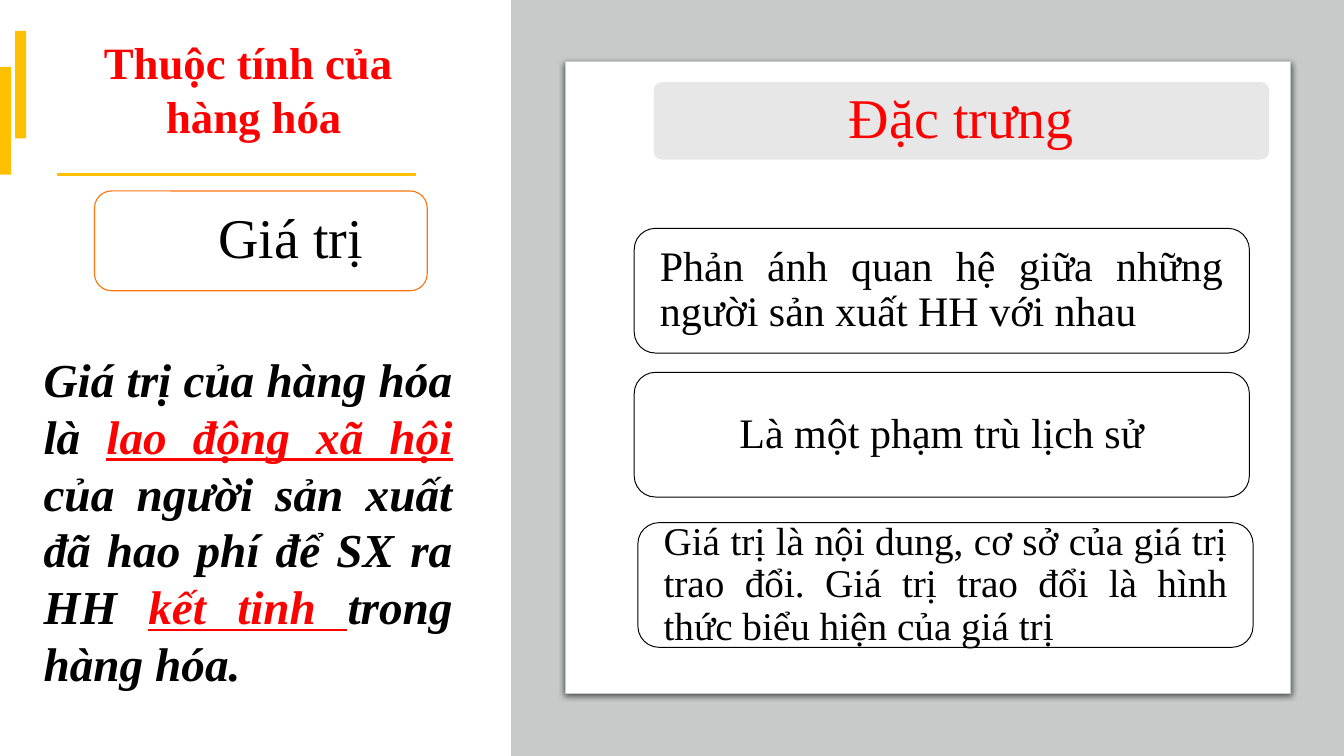
"""Build a slide on the value attribute of goods and its characteristics."""
import pptx
import pptx.dml.color
import pptx.enum.shapes
import pptx.enum.text
import pptx.oxml
import pptx.oxml.ns
import pptx.util

ALIGN = pptx.enum.text.PP_ALIGN
ANCHOR = pptx.enum.text.MSO_ANCHOR
SHAPE = pptx.enum.shapes.MSO_SHAPE
RED, GOLD, GRAY, BLACK, WHITE = "FF0000", "FFC000", "C8CACA", "000000", "FFFFFF"


def color(value):
    return pptx.dml.color.RGBColor.from_string(value)


def points(*values):
    return [pptx.util.Pt(value) for value in values]


def write(paragraph, text, size=32, ink=BLACK, bold=False, italic=False, underline=False):
    run = paragraph.add_run()
    run.text = text
    font = run.font
    font.name = "Times New Roman"
    font.size = pptx.util.Pt(size)
    font.color.rgb = color(ink)
    font.bold, font.italic, font.underline = bold, italic, underline


class SlideBuilder:
    def __init__(self, presentation):
        self.slide = presentation.slides.add_slide(presentation.slide_layouts[1])

    def block(self, box, fill, kind=SHAPE.RECTANGLE, line=None, width=0.75, corner=0):
        shape = self.slide.shapes.add_shape(kind, *points(*box))
        shape.shadow.inherit = False
        shape.fill.solid()
        shape.fill.fore_color.rgb = color(fill)
        if line:
            shape.line.color.rgb = color(line)
            shape.line.width = pptx.util.Pt(width)
        else:
            shape.line.fill.background()
        if kind == SHAPE.ROUNDED_RECTANGLE:
            shape.adjustments[0] = corner
        return shape

    def card(self, box):
        shape = self.block(box, WHITE, SHAPE.ROUNDED_RECTANGLE, GRAY)
        effects = shape._element.spPr.find(pptx.oxml.ns.qn("a:effectLst"))
        effects.append(pptx.oxml.parse_xml(
            f'<a:outerShdw {pptx.oxml.ns.nsdecls("a")} blurRad="57150" dist="19050" '
            'dir="5400000" algn="ctr" rotWithShape="0"><a:srgbClr val="000000">'
            '<a:alpha val="63000"/></a:srgbClr></a:outerShdw>'))

    def label(self, box, text, insets, fill=WHITE, line=None, width=0.75, corner=0.17,
              align=ALIGN.CENTER, **style):
        shape = self.block(box, fill, SHAPE.ROUNDED_RECTANGLE, line, width, corner)
        curve = 0.29 * corner * box[3]
        frame = shape.text_frame
        frame.word_wrap = True
        frame.vertical_anchor = ANCHOR.MIDDLE
        (frame.margin_left, frame.margin_top, frame.margin_right,
         frame.margin_bottom) = points(*(inset - curve for inset in insets))
        paragraph = frame.paragraphs[0]
        paragraph.alignment = align
        paragraph.line_spacing = 0.9
        write(paragraph, text, **style)

    def rule(self, left, right, top):
        line = self.slide.shapes.add_connector(
            pptx.enum.shapes.MSO_CONNECTOR.STRAIGHT, *points(left, top, right, top))
        line.line.color.rgb = color(GOLD)
        line.line.width = pptx.util.Pt(3)
        line._element.spPr.append(pptx.oxml.parse_xml(
            f'<a:effectLst {pptx.oxml.ns.nsdecls("a")}/>'))

    def fill_placeholder(self, index, box, paragraphs, align, **style):
        shape = self.slide.placeholders[index]
        shape.left, shape.top, shape.width, shape.height = points(*box)
        frame = shape.text_frame
        frame.word_wrap = True
        frame.auto_size = pptx.enum.text.MSO_AUTO_SIZE.NONE
        frame.vertical_anchor = ANCHOR.TOP
        for number, runs in enumerate(paragraphs):
            paragraph = frame.add_paragraph() if number else frame.paragraphs[0]
            properties = paragraph._p.get_or_add_pPr()
            properties.set("marL", "0")
            properties.set("indent", "0")
            properties.append(pptx.oxml.parse_xml(
                f'<a:buNone {pptx.oxml.ns.nsdecls("a")}/>'))
            paragraph.alignment = align
            paragraph.space_before = pptx.util.Pt(0)
            for text, emphasis in runs:
                write(paragraph, text, **{**style, **emphasis})


def main():
    presentation = pptx.Presentation()
    presentation.slide_width, presentation.slide_height = points(1024, 576)
    builder = SlideBuilder(presentation)

    builder.block((389.5, 0, 634.5, 576), GRAY)
    builder.card((430.5, 47, 553, 481.5))
    builder.rule(43.7, 317.2, 133)
    for left, top in ((0, 51), (11.5, 23.5)):
        builder.block((left, top, 8.5, 82), GOLD)

    builder.fill_placeholder(
        0, (35.3, 23, 316, 90), [[("Thuộc tính của ", {})], [("hàng hóa", {})]],
        ALIGN.CENTER, size=34.1, ink=RED, bold=True)
    key = {"ink": RED, "underline": True}
    definition = [
        ("Giá trị của hàng hóa là ", {}),
        ("lao động xã hội ", key),
        ("của người sản xuất đã hao phí để SX ra HH ", {}),
        ("kết tinh ", key),
        ("trong hàng hóa. ", {}),
    ]
    builder.fill_placeholder(1, (26, 263.5, 326, 269.5), [definition], ALIGN.JUSTIFY,
                             size=36, bold=True, italic=True)

    builder.label((72, 145.5, 253.5, 76), "Giá trị ", (70.5, 14.4, 14.4, 14.4),
                  line="FE750E", width=0.85, size=42.7)
    builder.label((498.2, 62.6, 468.7, 59), "Đặc trưng", (8.6, 6.5, 8.6, 6.5),
                  fill="E7E7E7", corner=0.1, size=42.7, ink=RED)
    features = [
        (483.2, 174, "Phản ánh quan hệ giữa những người sản xuất HH với nhau", ALIGN.JUSTIFY, 32),
        (483.2, 283.7, "Là một phạm trù lịch sử", ALIGN.CENTER, 32),
        (486, 398.2, "Giá trị là nội dung, cơ sở của giá trị trao đổi. "
         "Giá trị trao đổi là hình thức biểu hiện của giá trị", ALIGN.JUSTIFY, 29.9),
    ]
    for left, top, text, align, size in features:
        builder.label((left, top, 468.7, 95), text, (19.5,) * 4, line=BLACK,
                      align=align, size=size)
    presentation.save("out.pptx")


if __name__ == "__main__":
    main()
